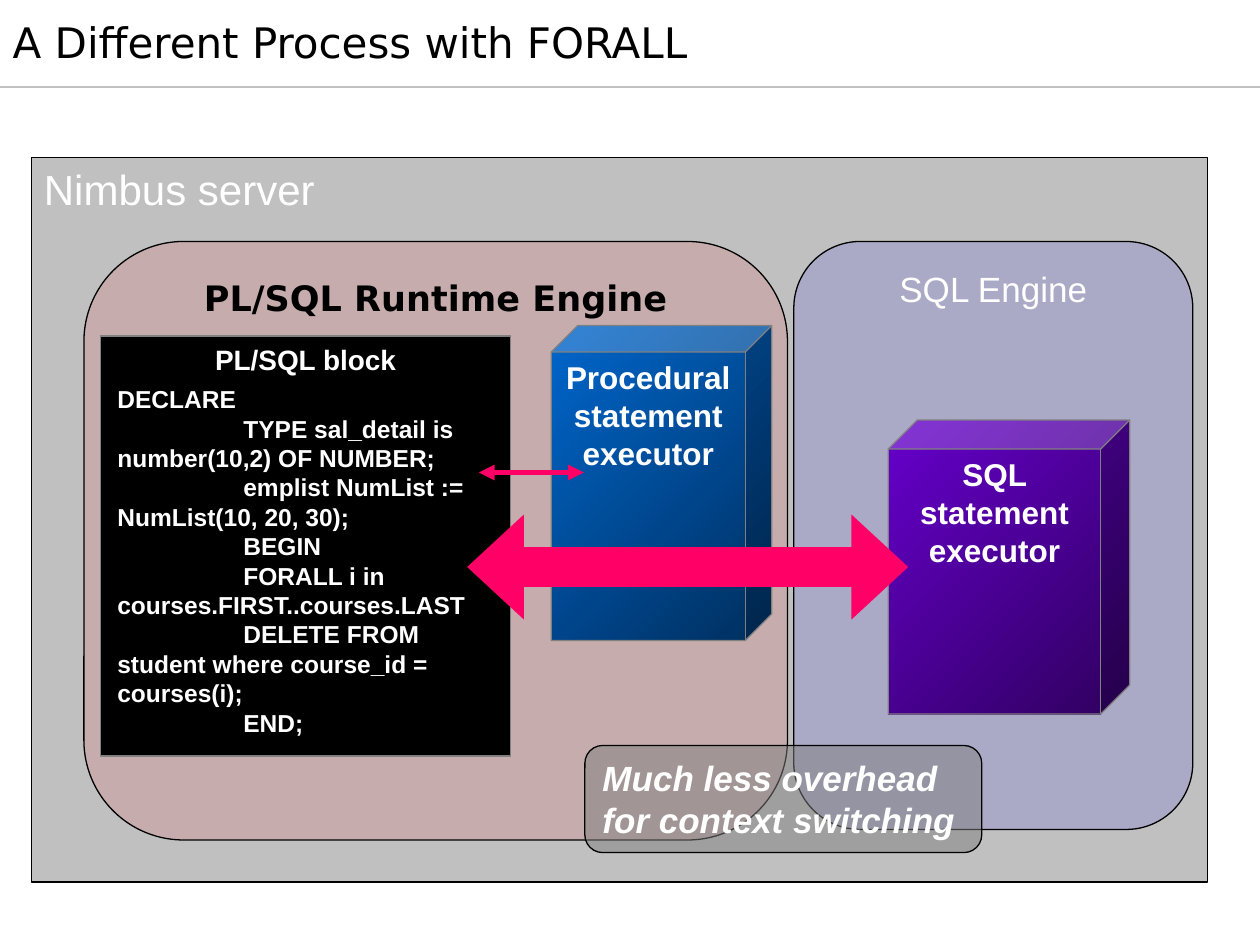
"""Build the slide on how FORALL changes the traffic between two engines."""
from dataclasses import dataclass
from typing import Optional

from lxml.etree import SubElement
from pptx import Presentation
from pptx.dml.color import RGBColor
from pptx.enum.shapes import MSO_CONNECTOR, MSO_SHAPE
from pptx.enum.text import MSO_ANCHOR, MSO_AUTO_SIZE, PP_ALIGN
from pptx.oxml.ns import qn
from pptx.util import Inches, Pt

COLUMNS_PER_INCH = 12


@dataclass(frozen=True)
class Theme:
    """Colours, fonts and type sizes."""
    black: str = "000000"
    white: str = "FFFFFF"
    silver: str = "C0C0C0"
    gray: str = "808080"
    red: str = "FF0000"
    blue: str = "0000FF"
    pink: str = "FF0066"
    azure: tuple = ("0066CC", "002F5E")
    violet: tuple = ("6600CC", "2F005E")
    body_font: str = "Arial"
    title_font: str = "DejaVu Sans"
    title: int = 24
    engine: int = 20
    executor: int = 18
    block: int = 16
    code: int = 14
    hairline: float = 0.75


THEME = Theme()


@dataclass(frozen=True)
class Area:
    """A rectangle in grid columns and rows."""
    left: float
    top: float
    width: float
    height: float

    def lengths(self) -> tuple:
        """Return left, top, width and height as lengths."""
        return tuple(map(grid, (self.left, self.top, self.width, self.height)))


@dataclass(frozen=True)
class Label:
    """Text with its look; each line is one run."""
    lines: tuple
    size: int
    color: str = THEME.white
    font: str = THEME.body_font
    bold: bool = False
    italic: bool = False
    align: PP_ALIGN = PP_ALIGN.CENTER


@dataclass(frozen=True)
class Panel:
    """A filled preset shape with an optional label."""
    kind: MSO_SHAPE
    area: Area
    fill: object
    line: Optional[str] = None
    label: Optional[Label] = None
    opacity: int = 100
    adjustments: tuple = ()


def grid(steps: float) -> int:
    """Turn grid steps into a length."""
    return Inches(steps / COLUMNS_PER_INCH)


def rgb(color: str) -> RGBColor:
    """Turn a hex string into a colour."""
    return RGBColor.from_string(color)


def write(frame, label: Label, anchor: MSO_ANCHOR = MSO_ANCHOR.TOP) -> None:
    """Write a label into a text frame."""
    frame.word_wrap = True
    frame.auto_size = MSO_AUTO_SIZE.NONE
    frame.vertical_anchor = anchor
    paragraph = frame.paragraphs[0]
    paragraph.alignment = label.align
    for index, line in enumerate(label.lines):
        if index:
            paragraph.add_line_break()
        run = paragraph.add_run()
        run.text = line
        run.font.name, run.font.size = label.font, Pt(label.size)
        run.font.bold, run.font.italic = label.bold, label.italic
        run.font.color.rgb = rgb(label.color)


def draw_panel(slide, panel: Panel) -> None:
    """Draw a panel with its fill, outline and label."""
    shape = slide.shapes.add_shape(panel.kind, *panel.area.lengths())
    shape.shadow.inherit = False
    for index, value in enumerate(panel.adjustments):
        shape.adjustments[index] = value
    if isinstance(panel.fill, tuple):
        shape.fill.gradient()
        shape.fill.gradient_angle = 315
        for position, (stop, color) in enumerate(zip(shape.fill.gradient_stops, panel.fill)):
            stop.position = position
            stop.color.rgb = rgb(color)
    else:
        shape.fill.solid()
        shape.fill.fore_color.rgb = rgb(panel.fill)
    if panel.opacity < 100:
        color_element = shape.element.spPr.find(qn("a:solidFill"))[0]
        SubElement(color_element, qn("a:alpha"), val=str(panel.opacity * 1000))
    if panel.line:
        shape.line.color.rgb = rgb(panel.line)
        shape.line.width = Pt(THEME.hairline)
    else:
        shape.line.fill.background()
    if panel.label:
        write(shape.text_frame, panel.label)


def draw_line(slide, left: float, right: float, row: float, color: str,
              weight: float, arrows: bool = False) -> None:
    """Draw a horizontal line, with arrowheads at both ends if asked."""
    connector = slide.shapes.add_connector(
        MSO_CONNECTOR.STRAIGHT, grid(left), grid(row), grid(right), grid(row))
    connector.line.color.rgb = rgb(color)
    connector.line.width = Pt(weight)
    if arrows:
        for end in ("a:headEnd", "a:tailEnd"):
            SubElement(connector.line._get_or_add_ln(), qn(end), type="triangle")
    SubElement(connector._element.spPr, qn("a:effectLst"))


def draw_code(slide, area: Area, label: Label) -> None:
    """Draw the code listing with one tab stop at an inch."""
    frame = slide.shapes.add_textbox(*area.lengths()).text_frame
    write(frame, label)
    properties = frame.paragraphs[0]._p.get_or_add_pPr()
    tabs = SubElement(properties, qn("a:tabLst"))
    SubElement(tabs, qn("a:tab"), pos=str(Inches(1)), algn="l")


TITLE = Label(("A Different Process with FORALL",), THEME.title, THEME.black,
              THEME.title_font, align=PP_ALIGN.LEFT)
CODE = Label((
    "DECLARE",
    "\tTYPE sal_detail is number(10,2) OF NUMBER;",
    "\templist NumList := NumList(10, 20, 30);",
    "\tBEGIN",
    "\tFORALL i in courses.FIRST..courses.LAST",
    "\tDELETE FROM student where course_id = courses(i);",
    "\tEND;",
), THEME.code, bold=True, align=PP_ALIGN.LEFT)
PANELS = (
    Panel(MSO_SHAPE.RECTANGLE, Area(3, 15, 112, 69), THEME.silver, THEME.black,
          Label(("Nimbus server",), THEME.title, align=PP_ALIGN.LEFT)),
    Panel(MSO_SHAPE.ROUNDED_RECTANGLE, Area(8, 23, 67, 57), THEME.red, THEME.black,
          Label(("PL/SQL Runtime Engine",), THEME.engine, THEME.black,
                THEME.title_font, bold=True), opacity=10),
    Panel(MSO_SHAPE.ROUNDED_RECTANGLE, Area(75.6, 23, 38, 56), THEME.blue, THEME.black,
          Label(("SQL Engine",), THEME.engine), opacity=11),
    Panel(MSO_SHAPE.RECTANGLE, Area(9.6, 32, 39, 40), THEME.black, THEME.gray,
          Label(("PL/SQL block",), THEME.block, bold=True)),
    Panel(MSO_SHAPE.CUBE, Area(52.5, 31, 21, 30), THEME.azure, THEME.gray,
          Label(("Procedural statement executor",), THEME.executor, bold=True),
          adjustments=(0.12,)),
    Panel(MSO_SHAPE.CUBE, Area(84.6, 40, 23, 28), THEME.violet, THEME.gray,
          Label(("SQL statement executor",), THEME.executor, bold=True),
          adjustments=(0.12,)),
)
SWITCH = Panel(MSO_SHAPE.LEFT_RIGHT_ARROW, Area(44.5, 49, 42, 10), THEME.pink,
               adjustments=(0.38, 0.54))
CALLOUT = Panel(MSO_SHAPE.ROUNDED_RECTANGLE, Area(55.7, 71, 37.8, 10.2), THEME.gray, THEME.black,
                Label(("Much less overhead for context switching",), THEME.engine,
                      bold=True, italic=True, align=PP_ALIGN.LEFT), opacity=50)


def main() -> None:
    """Build and save the presentation."""
    presentation = Presentation()
    presentation.slide_width, presentation.slide_height = grid(120), grid(90)
    slide = presentation.slides.add_slide(presentation.slide_layouts[5])
    title = slide.shapes.title
    title.left, title.top, title.width, title.height = Area(0, 0, 105, 8).lengths()
    write(title.text_frame, TITLE, MSO_ANCHOR.MIDDLE)
    draw_line(slide, 0, 120, 8.3, THEME.silver, THEME.hairline)
    for panel in PANELS:
        draw_panel(slide, panel)
    draw_code(slide, Area(10, 36, 36.5, 37.7), CODE)
    draw_line(slide, 45.6, 55.6, 45, THEME.pink, 3, arrows=True)
    draw_panel(slide, SWITCH)
    draw_panel(slide, CALLOUT)
    presentation.save("out.pptx")


if __name__ == "__main__":
    main()
